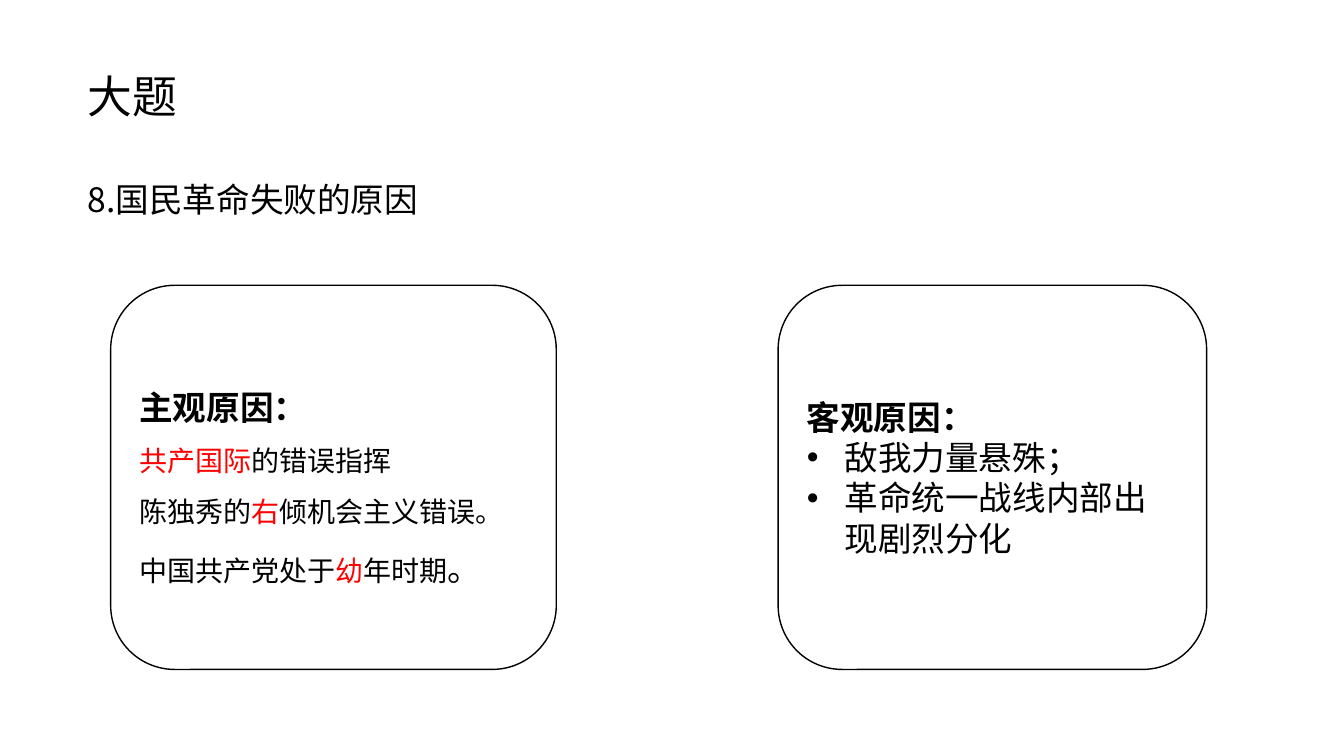
from lxml import etree
from pptx import Presentation
from pptx import util as u
from pptx.dml import color
from pptx.enum import shapes, text
from pptx.oxml import ns

# Content: each paragraph is a list of (words, format) runs
COLORS = {"ink": "000000", "key": "FF0000", "paper": "FFFFFF"}
HEAD = {"size": 24, "bold": True}
BODY = {"size": 20}
KEY = {"size": 20, "color": "key"}
LARGE = {"size": 24}

TITLE = [[("大题", {"size": 32, "name": "Calibri"})]]
QUESTION = [[("8.国民革命失败的原因", LARGE)]]
SUBJECTIVE = [
    [("主观原因：", HEAD)],
    [("共产国际", KEY), ("的错误指挥", BODY)],
    [("陈独秀的", BODY), ("右", KEY), ("倾机会主义错误。", BODY)],
    [("中国共产党处于", BODY), ("幼", KEY), ("年时期", BODY), ("。", LARGE)],
]
OBJECTIVE = [
    [("客观原因：", HEAD)],
    [("敌我力量悬殊；", LARGE)],
    [("革命统一战线内部出现剧烈分化", LARGE)],
]

# Layout in centimetres
MARGIN = 1.96
CARD_TOP, CARD_HEIGHT = 7.19, 9.68
CARDS = [  # left, width, paragraphs, line spacing, bulleted
    (2.79, 11.23, SUBJECTIVE, 1.5, False),
    (19.61, 10.8, OBJECTIVE, 1.0, True),
]
BULLET_INDENT = u.Cm(0.95)


def rgb(name):
    return color.RGBColor.from_string(COLORS[name])


def add_bullet(para):
    properties = para._p.get_or_add_pPr()
    properties.set("marL", str(BULLET_INDENT))
    properties.set("indent", str(-BULLET_INDENT))
    etree.SubElement(properties, ns.qn("a:buFont")).set("typeface", "Arial")
    etree.SubElement(properties, ns.qn("a:buChar")).set("char", "•")


def write(shape, paragraphs, spacing=1.0, bulleted=False):
    frame = shape.text_frame
    settings = {"word_wrap": True, "auto_size": text.MSO_AUTO_SIZE.NONE,
                "vertical_anchor": text.MSO_ANCHOR.MIDDLE}
    for key, value in settings.items():
        setattr(frame, key, value)
    for index, runs in enumerate(paragraphs):
        para = frame.add_paragraph() if index else frame.paragraphs[0]
        para.alignment = text.PP_ALIGN.LEFT
        para.line_spacing = spacing
        if bulleted and index:
            add_bullet(para)
        for words, look in runs:
            span = para.add_run()
            span.text = words
            values = {"name": look.get("name", "Noto Sans CJK SC"),
                      "size": u.Pt(look["size"]), "bold": look.get("bold", False)}
            for key, value in values.items():
                setattr(span.font, key, value)
            span.font.color.rgb = rgb(look.get("color", "ink"))
            # East Asian typeface and language
            properties = span._r.get_or_add_rPr()
            properties.set("lang", "zh-CN")
            etree.SubElement(properties, ns.qn("a:ea")).set("typeface", "Calibri")


deck = Presentation()
deck.slide_width, deck.slide_height = u.Cm(33.87), u.Cm(19.05)
page = deck.slides.add_slide(deck.slide_layouts[5])

# Title
title = page.shapes.title
place = {"left": MARGIN, "top": 1.6, "width": 20.09, "height": 1.63}
for key, value in place.items():
    setattr(title, key, u.Cm(value))
write(title, TITLE)

# Question
question = page.shapes.add_textbox(u.Cm(MARGIN), u.Cm(4.39), u.Cm(31.5), u.Cm(1.27))
write(question, QUESTION)

# Cause cards
for left, width, paragraphs, spacing, bulleted in CARDS:
    card = page.shapes.add_shape(
        shapes.MSO_SHAPE.ROUNDED_RECTANGLE,
        u.Cm(left), u.Cm(CARD_TOP), u.Cm(width), u.Cm(CARD_HEIGHT))
    card.shadow.inherit = False
    card.fill.solid()
    card.fill.fore_color.rgb = rgb("paper")
    card.line.color.rgb = rgb("ink")
    card.line.width = u.Pt(1)
    write(card, paragraphs, spacing, bulleted)

deck.save("out.pptx")
